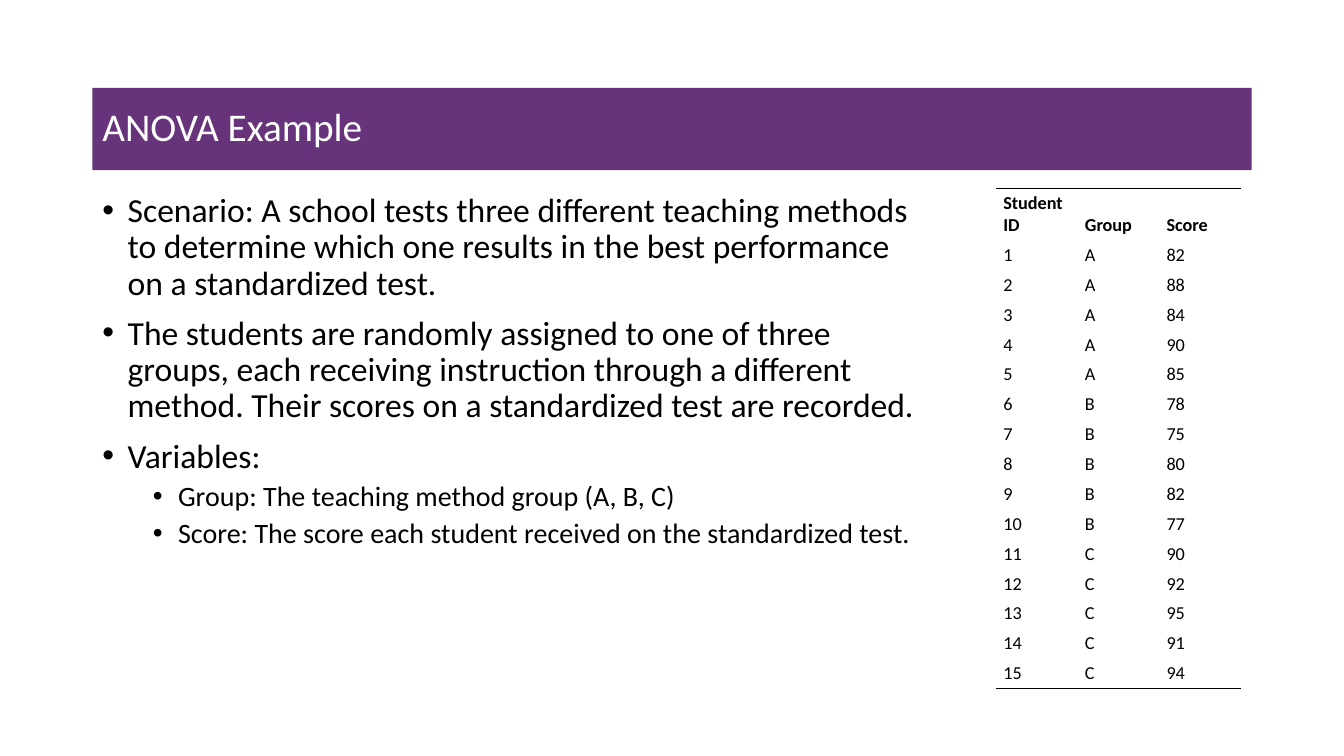
from dataclasses import dataclass
from typing import Optional

from lxml import etree
from pptx import Presentation
from pptx.dml.color import RGBColor
from pptx.enum import text
from pptx.oxml import ns
from pptx.util import Pt

PURPLE = RGBColor(0x67, 0x33, 0x7A)
WHITE = RGBColor(0xFF, 0xFF, 0xFF)
BLACK = RGBColor(0x00, 0x00, 0x00)
FONT = "Calibri"
NO_TABLE_STYLE = "{2D5ABB26-0587-4C30-8999-92F81FD0307C}"
HEADER_HEIGHT, ROW_HEIGHT, COLUMN_WIDTH = 37.2, 21.35, 58.3


@dataclass
class Bullet:
    content: str
    level: int = 0


@dataclass
class BulletStyle:
    size: float
    indent: float
    space_before: float


BULLETS = [
    Bullet("Scenario: A school tests three different teaching methods to determine "
           "which one results in the best performance on a standardized test."),
    Bullet("The students are randomly assigned to one of three groups, each receiving "
           "instruction through a different method. Their scores on a standardized "
           "test are recorded."),
    Bullet("Variables:"),
    Bullet("Group: The teaching method group (A, B, C)", 1),
    Bullet("Score: The score each student received on the standardized test.", 1),
]
BULLET_STYLES = [BulletStyle(24, 18, 10), BulletStyle(20, 54, 5)]

HEADINGS = ("Student ID", "Group", "Score")
GROUP_SCORES = {
    "A": (82, 88, 84, 90, 85),
    "B": (78, 75, 80, 82, 77),
    "C": (90, 92, 95, 91, 94),
}


def place(shape, left: float, top: float, width: float, height: float) -> None:
    shape.left, shape.top = Pt(left), Pt(top)
    shape.width, shape.height = Pt(width), Pt(height)


def write(paragraph, content: str, *, size: float, color: RGBColor = BLACK,
          bold: bool = False, line_spacing: Optional[float] = None,
          space_before: float = 0) -> None:
    paragraph.alignment = text.PP_ALIGN.LEFT
    paragraph.space_before = Pt(space_before)
    if line_spacing:
        paragraph.line_spacing = line_spacing
    run = paragraph.add_run()
    run.text = content
    run.font.name, run.font.size = FONT, Pt(size)
    run.font.bold, run.font.color.rgb = bold, color


def add_bullet(paragraph, indent: float) -> None:
    properties = paragraph._p.get_or_add_pPr()
    properties.set("marL", str(Pt(indent)))
    properties.set("indent", str(Pt(-18)))
    etree.SubElement(properties, ns.qn("a:buFont")).set("typeface", "Arial")
    etree.SubElement(properties, ns.qn("a:buChar")).set("char", "•")


def add_rule(cell, side: str) -> None:
    """Draw a black line on one side of a cell: lnT or lnB."""
    line = etree.Element(ns.qn(f"a:{side}"), w=str(Pt(1)))
    fill = etree.SubElement(line, ns.qn("a:solidFill"))
    etree.SubElement(fill, ns.qn("a:srgbClr")).set("val", str(BLACK))
    cell._tc.get_or_add_tcPr().insert(0, line)


def fill_title(title) -> None:
    place(title, 66, 62.8, 828, 58.8)
    title.fill.solid()
    title.fill.fore_color.rgb = PURPLE
    frame = title.text_frame
    frame.auto_size = text.MSO_AUTO_SIZE.NONE
    frame.vertical_anchor = text.MSO_ANCHOR.MIDDLE
    write(frame.paragraphs[0], "ANOVA Example", size=28, color=WHITE, line_spacing=0.9)


def fill_body(body) -> None:
    place(body, 66, 134.6, 601.2, 393)
    frame = body.text_frame
    frame.auto_size = text.MSO_AUTO_SIZE.NONE
    for index, bullet in enumerate(BULLETS):
        paragraph = frame.add_paragraph() if index else frame.paragraphs[0]
        style = BULLET_STYLES[bullet.level]
        paragraph.level = bullet.level
        add_bullet(paragraph, style.indent)
        write(paragraph, bullet.content, size=style.size, line_spacing=0.9,
              space_before=style.space_before if index else 0)


def add_score_table(slide) -> None:
    students = [(group, score) for group, scores in GROUP_SCORES.items() for score in scores]
    rows = [HEADINGS] + [(number, *student) for number, student in enumerate(students, 1)]
    last = len(rows) - 1
    frame = slide.shapes.add_table(
        len(rows), len(HEADINGS), Pt(711.4), Pt(134.4),
        Pt(COLUMN_WIDTH * len(HEADINGS)), Pt(HEADER_HEIGHT + ROW_HEIGHT * last))
    table = frame.table
    table.first_row = table.horz_banding = False
    table._tbl.tblPr.find(ns.qn("a:tableStyleId")).text = NO_TABLE_STYLE
    for column in table.columns:
        column.width = Pt(COLUMN_WIDTH)
    for row_index, values in enumerate(rows):
        header = row_index == 0
        table.rows[row_index].height = Pt(HEADER_HEIGHT if header else ROW_HEIGHT)
        for column_index, value in enumerate(values):
            cell = table.cell(row_index, column_index)
            cell.fill.background()
            cell.margin_left = cell.margin_right = Pt(5.3)
            cell.margin_top = cell.margin_bottom = Pt(2.7)
            cell.vertical_anchor = text.MSO_ANCHOR.BOTTOM if header else text.MSO_ANCHOR.MIDDLE
            write(cell.text_frame.paragraphs[0], str(value), size=13, bold=header)
            if header:
                add_rule(cell, "lnT")
            elif row_index == last:
                add_rule(cell, "lnB")


def main() -> None:
    presentation = Presentation()
    presentation.slide_width, presentation.slide_height = Pt(960), Pt(540)
    slide = presentation.slides.add_slide(presentation.slide_layouts[1])
    # Title band, bullet list and score table
    fill_title(slide.shapes.title)
    fill_body(slide.placeholders[1])
    add_score_table(slide)
    presentation.save("out.pptx")


if __name__ == "__main__":
    main()
